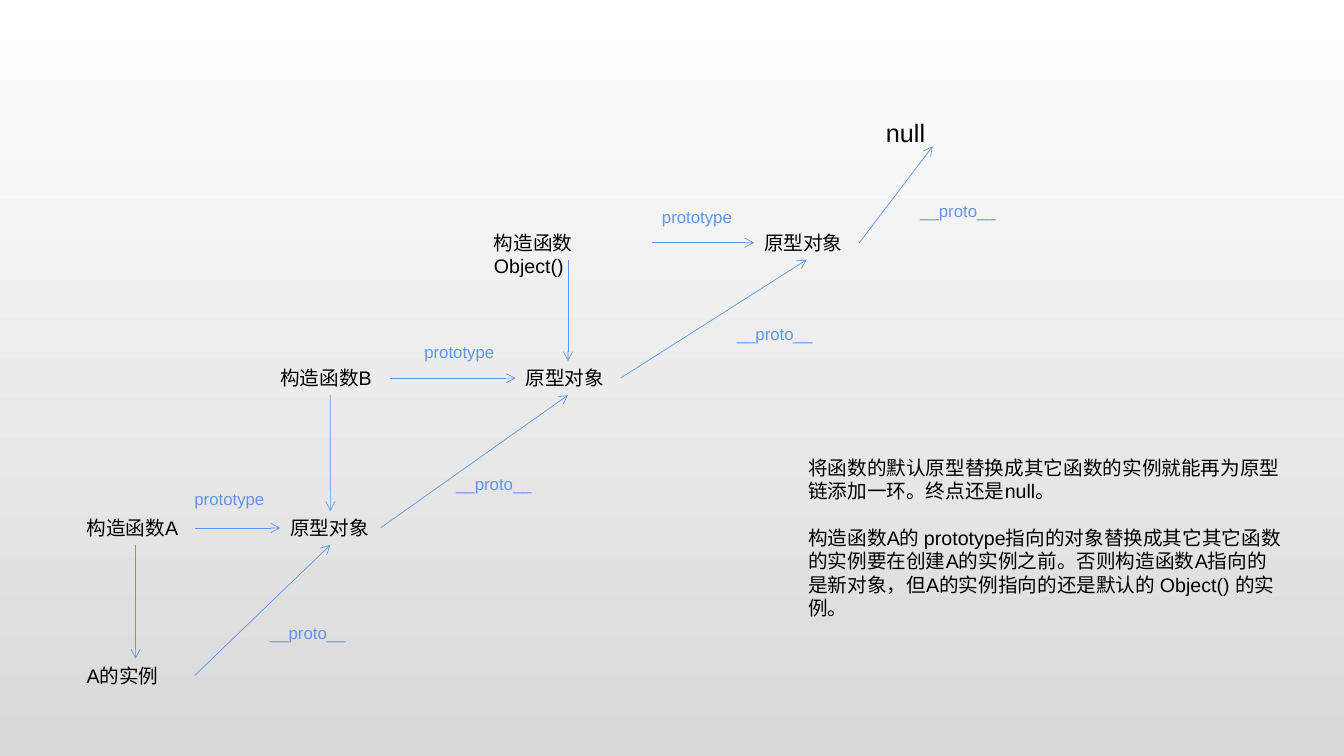
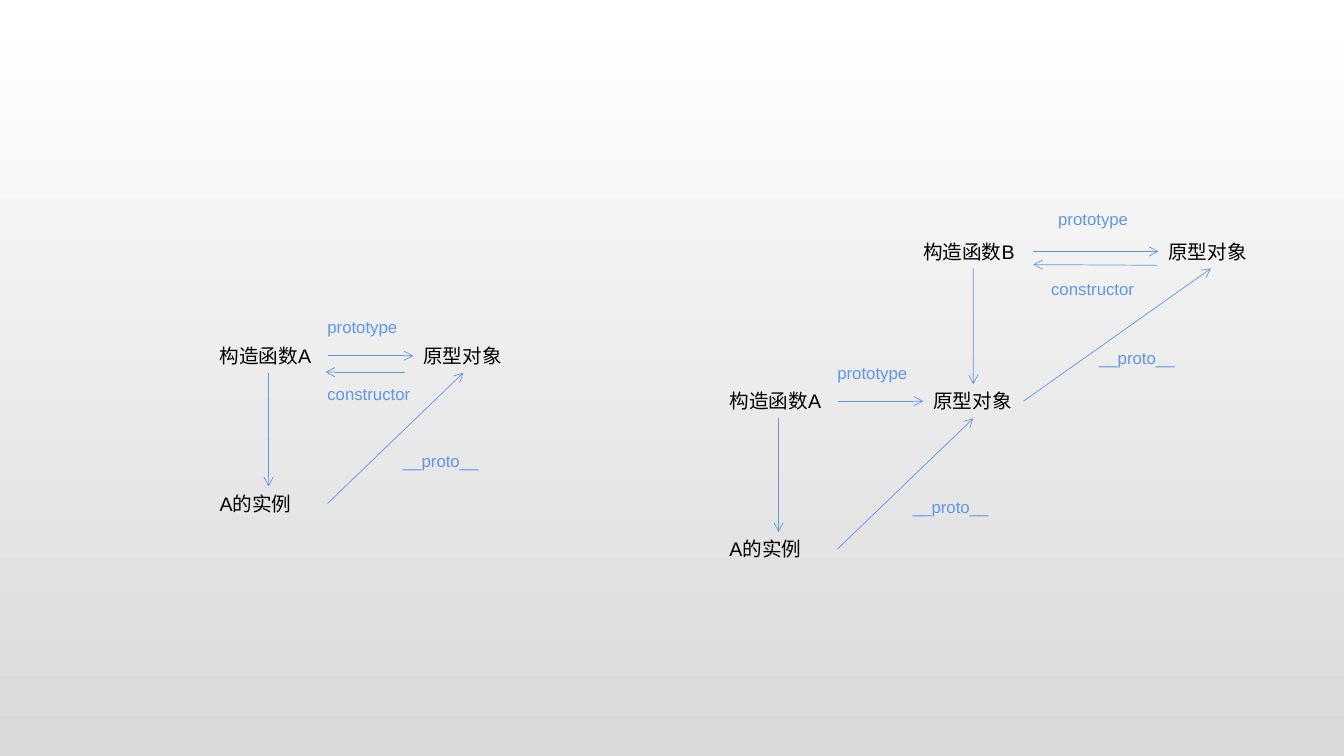
from dataclasses import dataclass
from lxml import etree
from pptx import Presentation
from pptx.dml.color import RGBColor
from pptx.enum import shapes, text
from pptx.oxml.ns import qn
from pptx.util import Pt


@dataclass(frozen=True)
class Theme:
    font: str = "Arial"
    ink: RGBColor = RGBColor(0, 0, 0)
    accent: RGBColor = RGBColor(0x60, 0x96, 0xE6)
    sky: RGBColor = RGBColor(0xFF, 0xFF, 0xFF)
    ground: RGBColor = RGBColor(0xD9, 0xD9, 0xD9)
    body: int = 14
    label: int = 12
    end: int = 18
    line: float = 0.5
    paragraph_gap: float = 16.5


THEME = Theme()
NODE_HEIGHT, LABEL_HEIGHT, END_HEIGHT = 24.25, 21.75, 29
LABEL_WIDTH, CONSTRUCTOR_WIDTH = 68.5, 77

LEVEL_A = {
    "nodes": {
        "A": ("构造函数A", 0, 0, 84.25),
        "instance": ("A的实例", 0, 105.5, 84.25),
        "A.prototype": ("原型对象", 145.5, 0, 71.5),
    },
    "links": [
        ("A", "right", "A.prototype", "left"),
        ("A", "bottom", "instance", "top"),
        ("instance", "right", "A.prototype", "bottom"),
    ],
    "labels": [("prototype", 77, -19.25), ("__proto__", 131, 76.5)],
}
LEVEL_B = {
    "nodes": {
        "B": ("构造函数B", 138.25, -107, 85.75),
        "B.prototype": ("原型对象", 313.5, -107, 75),
    },
    "links": [
        ("B", "right", "B.prototype", "left"),
        ("B", "bottom", "A.prototype", "top"),
        ("A.prototype", "right", "B.prototype", "bottom"),
    ],
    "labels": [("__proto__", 264, -30)],
}
LEVEL_OBJECT = {
    "nodes": {
        "Object": ("构造函数Object()", 291, -203.75, 120),
        "Object.prototype": ("原型对象", 484, -203.75, 75),
    },
    "links": [
        ("Object", "right", "Object.prototype", "left"),
        ("Object", "bottom", "B.prototype", "top"),
        ("B.prototype", "right", "Object.prototype", "bottom"),
    ],
    "labels": [("prototype", 411, -221), ("__proto__", 464.5, -137),
               ("__proto__", 595.5, -225.5)],
}
NULL = ("null", 571, -284.5, 55.5)
NULL_ARROW = ((559, -191.5), (611.5, -260.5))

NOTES = [
    "将函数的默认原型替换成其它函数的实例就能再为原型链添加一环。终点还是null。",
    "构造函数A的 prototype指向的对象替换成其它其它函数的实例要在创建A的实例之前。"
    "否则构造函数A指向的是新对象，但A的实例指向的还是默认的 Object() 的实例。",
]
NOTES_BOX = (570.25, 321.75, 355, 142.5)

CHAIN_TO_NULL = {
    "origin": (54.75, 365),
    "levels": [LEVEL_A, LEVEL_B, LEVEL_OBJECT],
    "labels": [("prototype", 241.25, -124.5)],
    "arrows": [NULL_ARROW],
    "end": NULL,
    "notes": NOTES,
}
SINGLE_LEVEL = {
    "origin": (149.75, 242),
    "levels": [LEVEL_A],
    "labels": [("constructor", 77, 28.75)],
    "arrows": [((139.75, 23.75), (82.75, 23.75))],
}
TWO_LEVELS = {
    "origin": (514, 274.5),
    "levels": [LEVEL_A, LEVEL_B],
    "labels": [("prototype", 234.75, -129), ("constructor", 229.75, -79.25)],
    "arrows": [((312.5, -85), (224, -85.5))],
}
SLIDES = [[CHAIN_TO_NULL], [SINGLE_LEVEL, TWO_LEVELS]]


def write(slide, paragraphs, box, size, color):
    frame = slide.shapes.add_textbox(*map(Pt, box)).text_frame
    frame.word_wrap = True
    frame.auto_size = text.MSO_AUTO_SIZE.SHAPE_TO_FIT_TEXT
    for index, words in enumerate(paragraphs):
        paragraph = frame.add_paragraph() if index else frame.paragraphs[0]
        paragraph.text = words
        paragraph.font.name = THEME.font
        paragraph.font.size = Pt(size)
        paragraph.font.color.rgb = color
        if index:
            paragraph.space_before = Pt(THEME.paragraph_gap)


def draw_arrow(slide, start, finish):
    arrow = slide.shapes.add_connector(
        shapes.MSO_CONNECTOR.STRAIGHT, *map(Pt, (*start, *finish)))
    arrow.line.color.rgb = THEME.accent
    arrow.line.width = Pt(THEME.line)
    properties = arrow.element.spPr
    etree.SubElement(properties.find(qn("a:ln")), qn("a:tailEnd"), type="arrow")
    etree.SubElement(properties, qn("a:effectLst"))


def anchor(node, side):
    _, x, y, width = node
    return {
        "left": (x, y + NODE_HEIGHT / 2),
        "right": (x + width, y + NODE_HEIGHT / 2),
        "top": (x + width / 2, y),
        "bottom": (x + width / 2, y + NODE_HEIGHT),
    }[side]


def draw_diagram(slide, diagram):
    left, top = diagram["origin"]
    levels = diagram["levels"]

    def place(point):
        return left + point[0], top + point[1]

    nodes = {}
    for level in levels:
        nodes.update(level["nodes"])
    for words, x, y, width in nodes.values():
        write(slide, [words], (*place((x, y)), width, NODE_HEIGHT), THEME.body, THEME.ink)

    arrows = [(anchor(nodes[source], leaving), anchor(nodes[target], entering))
              for level in levels
              for source, leaving, target, entering in level["links"]]
    for start, finish in arrows + diagram["arrows"]:
        draw_arrow(slide, place(start), place(finish))

    labels = [label for level in levels for label in level["labels"]]
    for words, x, y in labels + diagram["labels"]:
        width = CONSTRUCTOR_WIDTH if words == "constructor" else LABEL_WIDTH
        write(slide, [words], (*place((x, y)), width, LABEL_HEIGHT), THEME.label, THEME.accent)

    if "end" in diagram:
        words, x, y, width = diagram["end"]
        write(slide, [words], (*place((x, y)), width, END_HEIGHT), THEME.end, THEME.ink)
    if "notes" in diagram:
        write(slide, diagram["notes"], NOTES_BOX, THEME.body, THEME.ink)


deck = Presentation()
deck.slide_width, deck.slide_height = Pt(960), Pt(540)
backdrop = deck.slide_master.background.fill
backdrop.gradient()
backdrop.gradient_angle = 270
for stop, color in zip(backdrop.gradient_stops, (THEME.sky, THEME.ground)):
    stop.color.rgb = color

blank = deck.slide_layouts[6]
for diagrams in SLIDES:
    page = deck.slides.add_slide(blank)
    for diagram in diagrams:
        draw_diagram(page, diagram)

deck.save("out.pptx")
